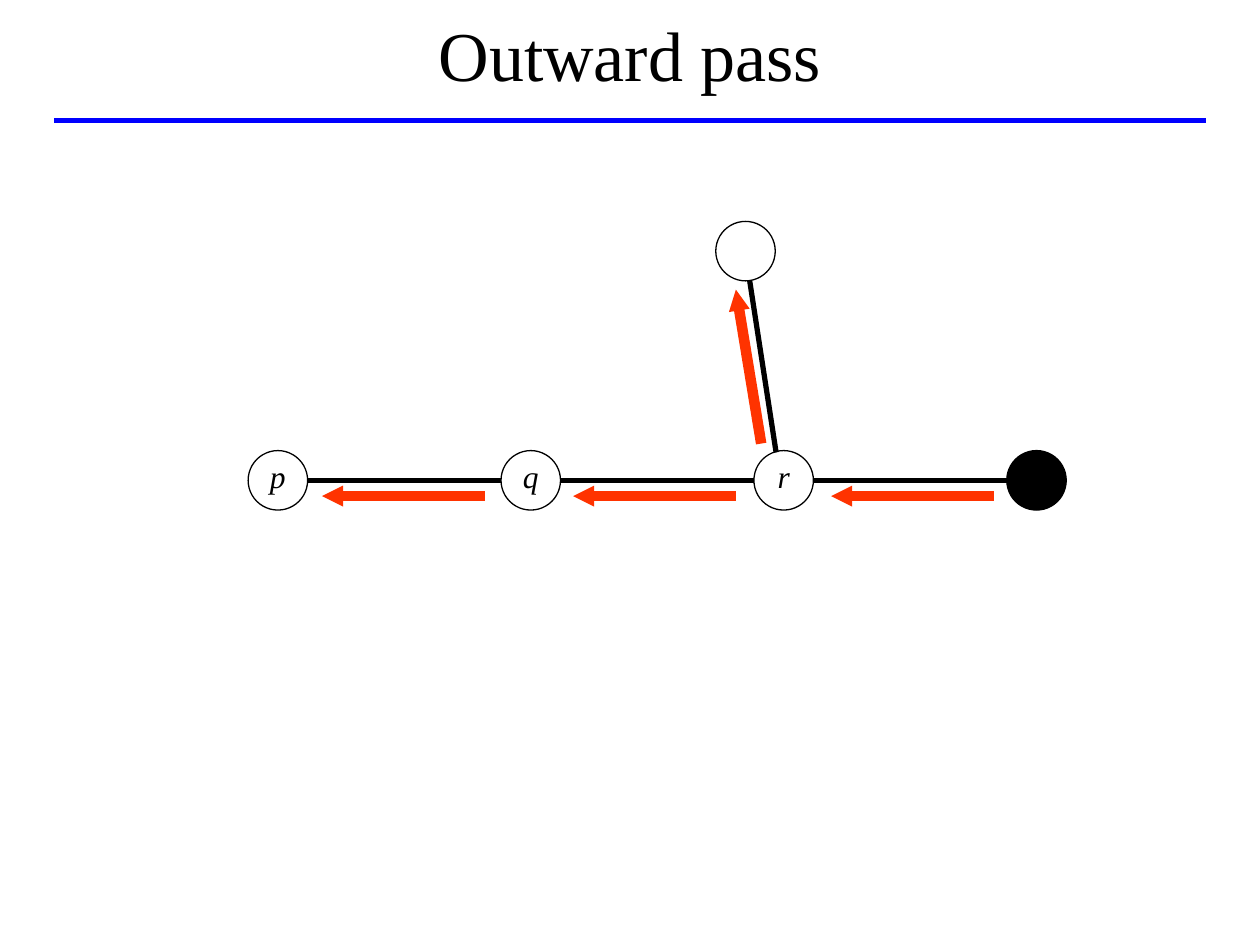
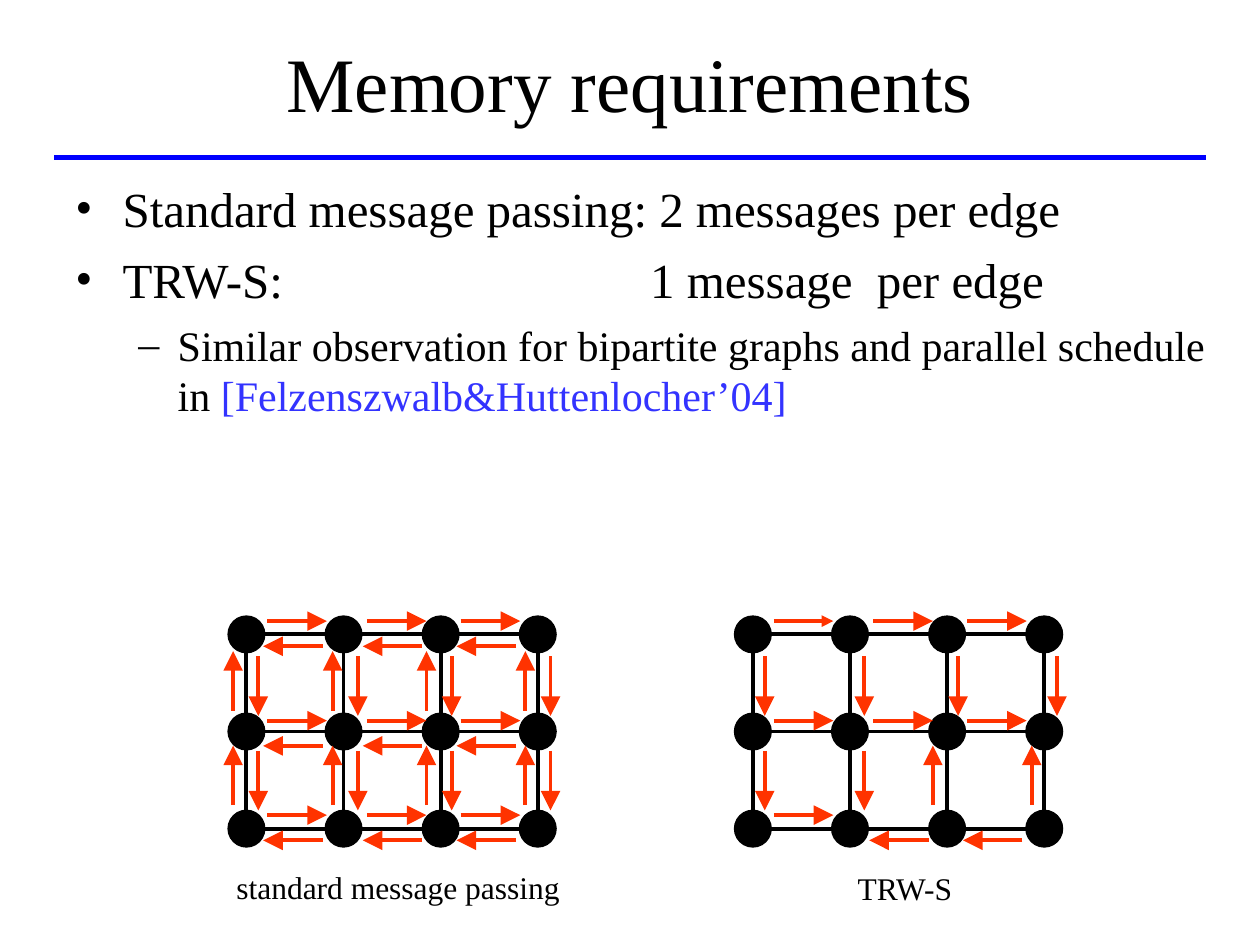
import itertools

import pptx
import pptx.dml.color
import pptx.enum.shapes
import pptx.enum.text
import pptx.oxml
import pptx.oxml.ns
import pptx.util
from lxml import etree

Pt = pptx.util.Pt
ALIGN = pptx.enum.text.PP_ALIGN
ANCHOR = pptx.enum.text.MSO_ANCHOR

FONT = "Times New Roman"
BLACK, WHITE = "000000", "FFFFFF"
RULE_BLUE, CITATION_BLUE, MESSAGE_RED = "0000FF", "3333FF", "FF3300"

CHAIN_DIAMETER, CHAIN_LEFT, CHAIN_STEP, CHAIN_Y = 34, 158.8, 144.5, 274.5
BRANCH_CENTER = (426, 143.5)

GRID_TOP, GRID_STEP, GRID_DIAMETER = 362.5, 55.5, 21
GRID_COLUMNS, GRID_ROWS = 4, 3
MESSAGE_LENGTH = 34
COLUMN_SLOTS = (0, 56.9, 110.5, 167)
ROW_SLOTS = (0, 56.9, 110.9)
EDGE_SLOTS = (0, 54)
MESSAGE_STARTS = {"right": (12, -7.6), "left": (43.6, 6.8),
                  "down": (6.8, 12.6), "up": (-7.6, 43.6)}
DIRECTIONS = {"right": (1, 0), "left": (-1, 0), "down": (0, 1), "up": (0, -1)}


def color(hex_string):
    """Turn a hex string into a colour."""
    return pptx.dml.color.RGBColor.from_string(hex_string)


def add_child(parent, tag, **attributes):
    """Append a DrawingML element to a parent element."""
    return etree.SubElement(parent, pptx.oxml.ns.qn(tag), attributes)


def add_run(paragraph, text, size=18, ink=BLACK, italic=False):
    """Add formatted text to a paragraph."""
    run = paragraph.add_run()
    run.text = text
    run.font.name, run.font.size = FONT, Pt(size)
    run.font.italic = italic
    run.font.color.rgb = color(ink)


def add_text(slide, text, left, top, width, height, align=ALIGN.LEFT,
             anchor=ANCHOR.TOP, wrap=True, **font):
    """Add a text box holding one paragraph."""
    frame = slide.shapes.add_textbox(Pt(left), Pt(top), Pt(width), Pt(height)).text_frame
    frame.word_wrap, frame.vertical_anchor = wrap, anchor
    frame.paragraphs[0].alignment = align
    add_run(frame.paragraphs[0], text, **font)
    return frame


def add_line(shapes, start, end, ink=BLACK, width=3.0, head=None):
    """Add a straight line, with an arrowhead of the given size if any."""
    connector = shapes.add_connector(pptx.enum.shapes.MSO_CONNECTOR.STRAIGHT,
                                     *(Pt(length) for length in (*start, *end)))
    connector.line.color.rgb, connector.line.width = color(ink), Pt(width)
    if head:
        add_child(connector.line._get_or_add_ln(), "a:tailEnd",
                  type="triangle", w=head, len=head)
    add_child(connector._element.spPr, "a:effectLst")


def add_node(shapes, center, diameter, fill=BLACK, label=""):
    """Add a round graph node with an optional italic label."""
    left, top = (length - diameter / 2 for length in center)
    node = shapes.add_shape(pptx.enum.shapes.MSO_SHAPE.OVAL,
                            Pt(left), Pt(top), Pt(diameter), Pt(diameter))
    node.shadow.inherit = False
    node.fill.solid()
    node.fill.fore_color.rgb = color(fill)
    node.line.color.rgb, node.line.width = color(BLACK), Pt(0.75)
    if label:
        frame = node.text_frame
        frame.word_wrap, frame.vertical_anchor = False, ANCHOR.MIDDLE
        frame.margin_left = frame.margin_right = frame.margin_top = 0
        frame.margin_bottom = Pt(5)
        frame.paragraphs[0].alignment = ALIGN.CENTER
        add_run(frame.paragraphs[0], label, italic=True)


def add_titled_slide(presentation, title, size, title_center, rule_y):
    """Add a slide with a centred title above a blue rule."""
    slide = presentation.slides.add_slide(presentation.slide_layouts[6])
    add_text(slide, title, 36, title_center - 30, 648, 60, size=size,
             align=ALIGN.CENTER, anchor=ANCHOR.MIDDLE)
    add_line(slide.shapes, (31, rule_y), (689, rule_y), ink=RULE_BLUE)
    return slide


def add_bullet(paragraph, mark, indent, hanging, space, tabs=()):
    """Give a paragraph a bullet, a hanging indent and tab stops."""
    paragraph.space_before = Pt(space)
    properties = paragraph._p.get_or_add_pPr()
    properties.set("marL", str(Pt(indent)))
    properties.set("indent", str(-Pt(hanging)))
    add_child(properties, "a:buFont", typeface=FONT)
    add_child(properties, "a:buChar", char=mark)
    if tabs:
        tab_list = add_child(properties, "a:tabLst")
        for position in tabs:
            add_child(tab_list, "a:tab", pos=str(Pt(position)), algn="l")


def add_message(shapes, left, direction, column, row, head="lg"):
    """Add the red arrow of one message along a grid edge."""
    step_x, step_y = DIRECTIONS[direction]
    offset_x, offset_y = MESSAGE_STARTS[direction]
    row_slots = ROW_SLOTS if step_x else EDGE_SLOTS
    x = left + offset_x + COLUMN_SLOTS[column]
    y = GRID_TOP + offset_y + row_slots[row]
    end = (x + step_x * MESSAGE_LENGTH, y + step_y * MESSAGE_LENGTH)
    add_line(shapes, (x, y), end, ink=MESSAGE_RED, width=2.25, head=head)


def add_grid(slide, left):
    """Add a grid of nodes and edges and return the shapes of its group."""
    shapes = slide.shapes.add_group_shape().shapes
    xs = [left + column * GRID_STEP for column in range(GRID_COLUMNS)]
    ys = [GRID_TOP + row * GRID_STEP for row in range(GRID_ROWS)]
    for center in itertools.product(xs, ys):
        add_node(shapes, center, GRID_DIAMETER)
    for y in ys:
        add_line(shapes, (xs[0], y), (xs[-1], y), width=2.25)
    for x in xs:
        add_line(shapes, (x, ys[0]), (x, ys[-1]), width=2.25)
    return shapes


def add_outward_pass(presentation):
    """Build the slide with messages flowing out from the root."""
    slide = add_titled_slide(presentation, "Outward pass", 40, 30.6, 69)
    shapes = slide.shapes
    radius = CHAIN_DIAMETER / 2
    xs = [CHAIN_LEFT + index * CHAIN_STEP for index in range(4)]
    for x, label, fill in zip(xs, ("p", "q", "r", ""), (WHITE, WHITE, WHITE, BLACK)):
        add_node(shapes, (x, CHAIN_Y), CHAIN_DIAMETER, fill=fill, label=label)
    for x, next_x in itertools.pairwise(xs):
        add_line(shapes, (x + radius, CHAIN_Y), (next_x - radius, CHAIN_Y))
    add_node(shapes, BRANCH_CENTER, CHAIN_DIAMETER, fill=WHITE)
    add_line(shapes, (428.4, 160.5), (443.5, 258.5))
    messages = [((x, 283.5), (x - 93, 283.5)) for x in (277, 420.5, 568)]
    messages.append(((435, 253.5), (420.5, 165.5)))
    for start, end in messages:
        add_line(shapes, start, end, ink=MESSAGE_RED, width=6, head="sm")


def add_memory_requirements(presentation):
    """Build the slide that compares messages stored per edge."""
    slide = add_titled_slide(presentation, "Memory requirements", 44, 46.5, 90)
    body = add_text(slide, "Standard message passing: 2 messages per edge",
                    36, 98.6, 670, 160, size=28)
    add_bullet(body.paragraphs[0], "•", 27, 27, 7)
    paragraph = body.add_paragraph()
    add_bullet(paragraph, "•", 27, 27, 7, tabs=(328.5, 458))
    add_run(paragraph, "TRW-S:\t1 message\tper edge", size=28)
    paragraph = body.add_paragraph()
    add_bullet(paragraph, "–", 58.5, 22.5, 6)
    add_run(paragraph, "Similar observation for bipartite graphs and parallel schedule in ",
            size=24)
    add_run(paragraph, "[Felzenszwalb&Huttenlocher’04]", size=24, ink=CITATION_BLUE)

    trw_left = 430.2
    shapes = add_grid(slide, trw_left)
    add_message(shapes, trw_left, "right", 0, 0, head="med")
    trw_messages = {"right": [(1, 0), (2, 0), (0, 1), (1, 1), (2, 1), (0, 2)],
                    "left": [(1, 2), (2, 2)],
                    "up": [(2, 1), (3, 1)],
                    "down": [(0, 0), (1, 0), (2, 0), (3, 0), (0, 1), (1, 1)]}
    for direction, cells in trw_messages.items():
        for column, row in cells:
            add_message(shapes, trw_left, direction, column, row)

    standard_left = 140.8
    shapes = add_grid(slide, standard_left)
    for direction, (step_x, step_y) in DIRECTIONS.items():
        columns = range(GRID_COLUMNS - abs(step_x))
        rows = range(GRID_ROWS - abs(step_y))
        for column, row in itertools.product(columns, rows):
            add_message(shapes, standard_left, direction, column, row)

    add_text(slide, "standard message passing", 128, 492.5, 199.5, 29, wrap=False)
    add_text(slide, "TRW-S", 483, 493, 70.5, 29, wrap=False)


def main():
    """Build and save the presentation."""
    presentation = pptx.Presentation()
    presentation.slide_width, presentation.slide_height = Pt(720), Pt(540)
    add_outward_pass(presentation)
    add_memory_requirements(presentation)
    presentation.save("out.pptx")


if __name__ == "__main__":
    main()
